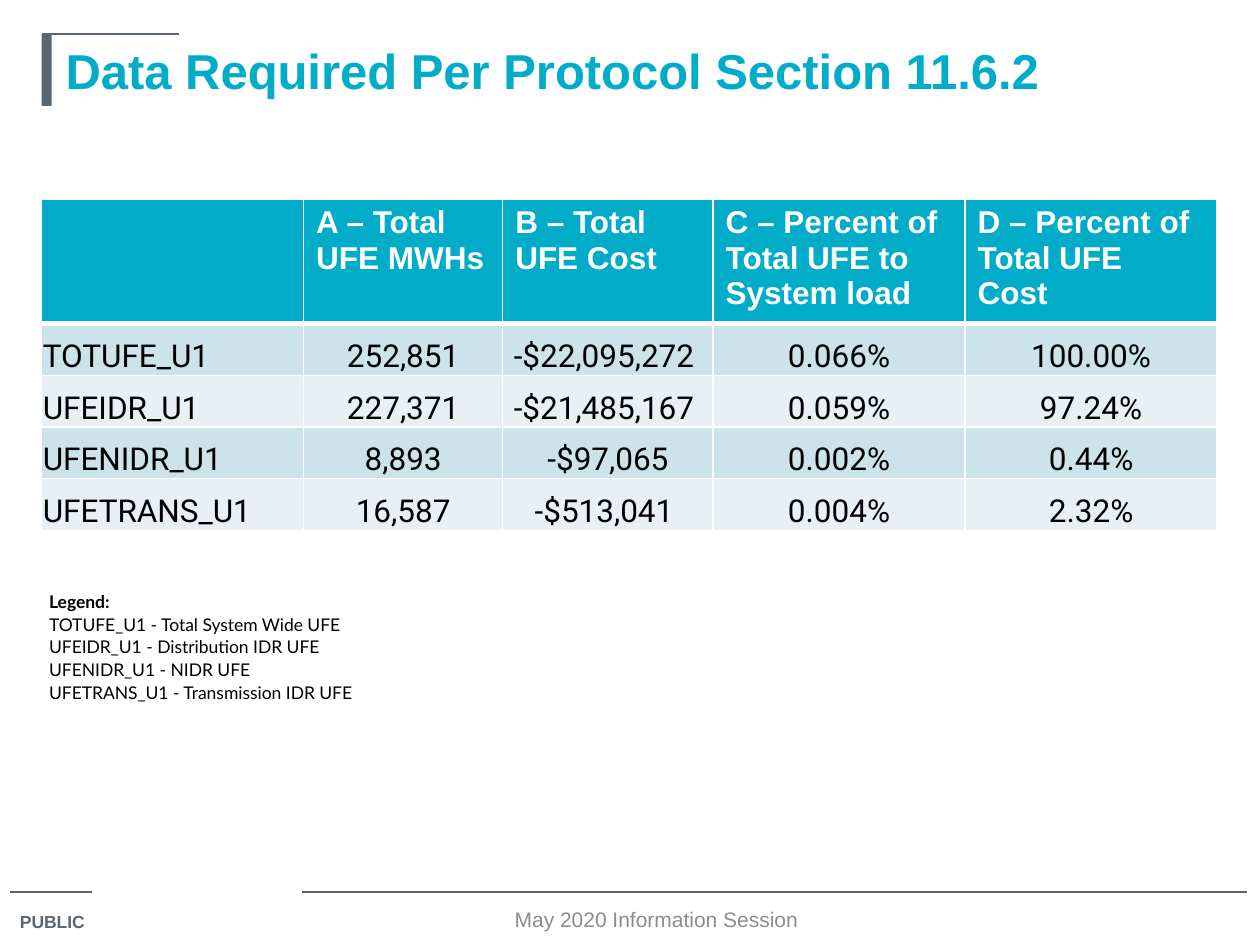
from lxml.etree import SubElement
from pptx import Presentation
from pptx.dml.color import RGBColor
from pptx.enum.shapes import MSO_CONNECTOR, MSO_SHAPE
from pptx.enum.text import MSO_ANCHOR, PP_ALIGN
from pptx.oxml.ns import qn
from pptx.util import Inches, Pt

TEAL = RGBColor(0x00, 0xAC, 0xC8)
SLATE = RGBColor(0x5B, 0x67, 0x70)
GRAY = RGBColor(0x8C, 0x8C, 0x8C)
BLACK = RGBColor(0, 0, 0)
WHITE = RGBColor(0xFF, 0xFF, 0xFF)
BANDS = (RGBColor(0xCC, 0xE3, 0xEB), RGBColor(0xE7, 0xF1, 0xF5))

TITLE_FONT = {"name": "Arial", "size": Pt(28), "bold": True, "color": TEAL}
HEADER_FONT = {"name": "Arial", "size": Pt(18), "bold": True, "color": WHITE}
BODY_FONT = {"name": "Roboto", "size": Pt(18), "bold": False, "color": BLACK}
LEGEND_FONT = {"name": "Lato", "size": Pt(10), "bold": False, "color": BLACK}
PUBLIC_FONT = {"name": "Arial", "size": Pt(10), "bold": True, "color": SLATE}
FOOTER_FONT = {"name": "Arial", "size": Pt(12), "bold": False, "color": GRAY}

PLAIN_STYLE = "{2D5ABB26-0587-4C30-8999-92F81FD0307C}"
TIGHT_CELL = {
    "margin_left": Inches(0.01),
    "margin_right": Inches(0.01),
    "margin_top": Inches(0.01),
    "margin_bottom": 0,
    "vertical_anchor": MSO_ANCHOR.BOTTOM,
}

HEADERS = [
    "",
    "A – Total\nUFE MWHs",
    "B – Total\nUFE Cost",
    "C – Percent of\nTotal UFE to\nSystem load",
    "D – Percent of\nTotal UFE\nCost",
]
UFE_ROWS = [
    ["TOTUFE_U1", "252,851", "-$22,095,272 ", "0.066%", "100.00%"],
    ["UFEIDR_U1", "227,371", "-$21,485,167 ", "0.059%", "97.24%"],
    ["UFENIDR_U1", "8,893", "-$97,065", "0.002%", "0.44%"],
    ["UFETRANS_U1", "16,587", "-$513,041 ", "0.004%", "2.32%"],
]
LEGEND = [
    "Legend:",
    "TOTUFE_U1 - Total System Wide UFE",
    "UFEIDR_U1 - Distribution IDR UFE",
    "UFENIDR_U1 - NIDR UFE",
    "UFETRANS_U1 - Transmission IDR UFE",
]


def set_attributes(target, values):
    for name, value in values.items():
        setattr(target, name, value)


def write_text(frame, text, font_format, align=PP_ALIGN.LEFT):
    """Fill a text frame, one paragraph per line of text."""
    frame.text = text
    for paragraph in frame.paragraphs:
        paragraph.alignment = align
        for run in paragraph.runs:
            for name, value in font_format.items():
                if name == "color":
                    run.font.color.rgb = value
                else:
                    setattr(run.font, name, value)
        if not paragraph.runs:
            size = str(int(font_format["size"].pt * 100))
            SubElement(paragraph._p, qn("a:endParaRPr"), sz=size)


def add_line(slide, left, right, top):
    line = slide.shapes.add_connector(
        MSO_CONNECTOR.STRAIGHT, Inches(left), Inches(top), Inches(right), Inches(top)
    )
    line.line.color.rgb = SLATE
    line.line.width = Pt(0.75)
    SubElement(line._element.spPr, qn("a:effectLst"))


def add_label(slide, box, text, font_format, **options):
    label = slide.shapes.add_textbox(*map(Inches, box))
    label.text_frame.word_wrap = True
    label.text_frame.vertical_anchor = MSO_ANCHOR.MIDDLE
    write_text(label.text_frame, text, font_format, **options)


def add_title(slide, text):
    title = slide.shapes.title
    box = map(Inches, (0.42, 0.27, 9.25, 0.57))
    set_attributes(title, dict(zip(("left", "top", "width", "height"), box)))
    title.text_frame.vertical_anchor = MSO_ANCHOR.MIDDLE
    write_text(title.text_frame, text, TITLE_FONT)

    # Corner bracket
    bar = slide.shapes.add_shape(
        MSO_SHAPE.RECTANGLE, Inches(0.33), Inches(0.27), Inches(0.08), Inches(0.57)
    )
    bar.shadow.inherit = False
    bar.fill.solid()
    bar.fill.fore_color.rgb = SLATE
    bar.line.fill.background()
    add_line(slide, 0.33, 1.42, 0.27)


def add_plain_table(slide, left, top, widths, heights):
    frame = slide.shapes.add_table(
        len(heights), len(widths), Inches(left), Inches(top),
        Inches(sum(widths)), Inches(sum(heights)),
    )
    table = frame.table
    table.first_row = table.horz_banding = False
    table._tbl.tblPr.find(qn("a:tableStyleId")).text = PLAIN_STYLE
    for column, width in zip(table.columns, widths):
        column.width = Inches(width)
    for row, height in zip(table.rows, heights):
        row.height = Inches(height)
    return table


def paint_cell(cell, fill, top=1, bottom=1):
    """Give a cell white borders (widths in points) and a solid fill."""
    properties = cell._tc.get_or_add_tcPr()
    for side, width in (("L", 1), ("R", 1), ("T", top), ("B", bottom)):
        border = SubElement(properties, qn("a:ln" + side), w=str(Pt(width)))
        solid = SubElement(border, qn("a:solidFill"))
        SubElement(solid, qn("a:srgbClr"), val=str(WHITE))
    cell.fill.solid()
    cell.fill.fore_color.rgb = fill


def add_ufe_table(slide):
    heights = [0.99] + [0.41] * len(UFE_ROWS)
    table = add_plain_table(slide, 0.33, 1.58, [2.08, 1.58, 1.67, 2, 2], heights)
    for column, text in enumerate(HEADERS):
        cell = table.cell(0, column)
        write_text(cell.text_frame, text, HEADER_FONT)
        paint_cell(cell, TEAL, bottom=3)
    for row, values in enumerate(UFE_ROWS, start=1):
        for column, text in enumerate(values):
            cell = table.cell(row, column)
            set_attributes(cell, TIGHT_CELL)
            align = PP_ALIGN.CENTER if column else PP_ALIGN.LEFT
            write_text(cell.text_frame, text, BODY_FONT, align)
            paint_cell(cell, BANDS[(row - 1) % 2], top=3 if row == 1 else 1)


def add_legend(slide):
    table = add_plain_table(slide, 0.38, 4.68, [1.61, 1.95], [0.18] * len(LEGEND))
    for row, text in enumerate(LEGEND):
        heading, spare = table.cell(row, 0), table.cell(row, 1)
        if row:
            heading.merge(spare)
        for cell, content in ((heading, text), (spare, "")):
            set_attributes(cell, TIGHT_CELL)
            cell.fill.background()
            write_text(cell.text_frame, content, {**LEGEND_FONT, "bold": row == 0})


def add_footer(slide):
    for left, right in ((0.08, 0.73), (2.4, 9.9)):
        add_line(slide, left, right, 7.08)
    add_label(slide, (0.06, 7.17, 0.77, 0.28), "PUBLIC", PUBLIC_FONT)
    add_label(slide, (3, 7.17, 4.42, 0.25), "May 2020 Information Session",
              FOOTER_FONT, align=PP_ALIGN.CENTER)


def main():
    presentation = Presentation()
    presentation.slide_width = Inches(10)
    presentation.slide_height = Inches(7.5)
    slide = presentation.slides.add_slide(presentation.slide_layouts[5])
    add_title(slide, "Data Required Per Protocol Section 11.6.2")
    add_ufe_table(slide)
    add_legend(slide)
    add_footer(slide)
    presentation.save("out.pptx")


if __name__ == "__main__":
    main()
